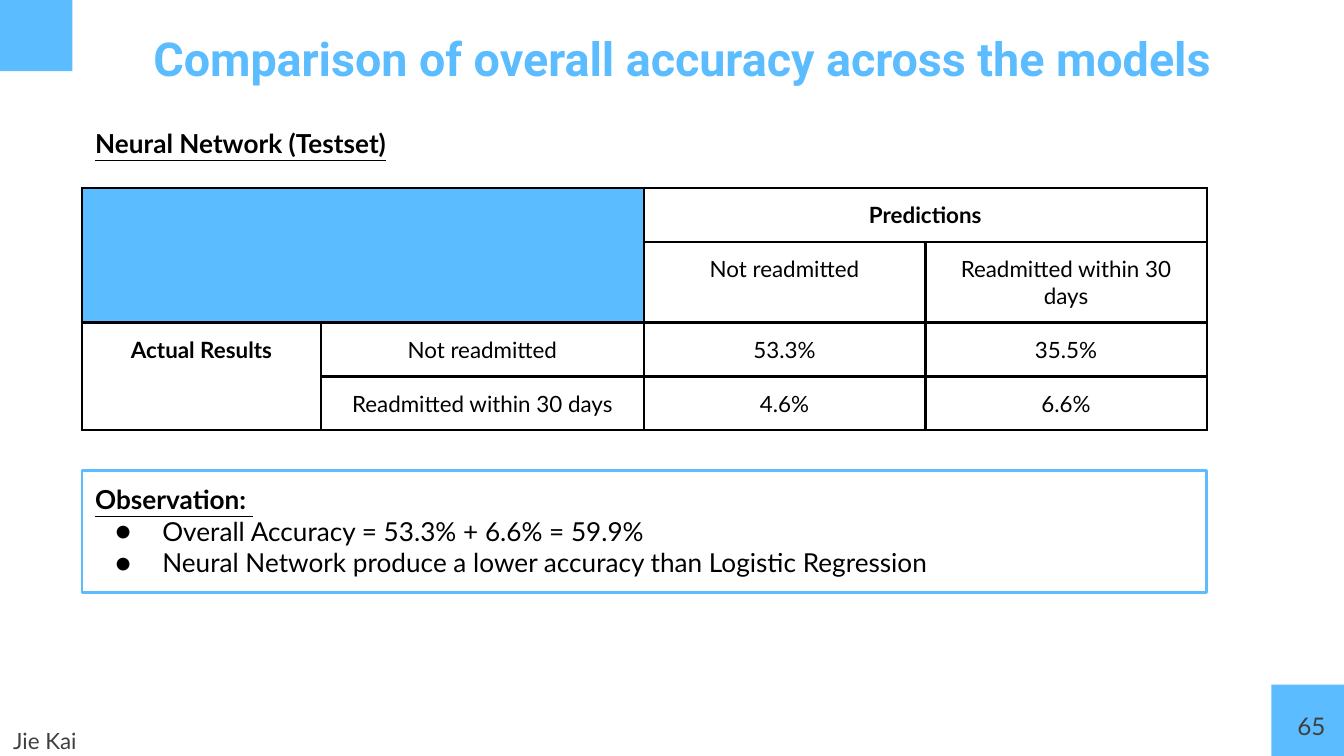
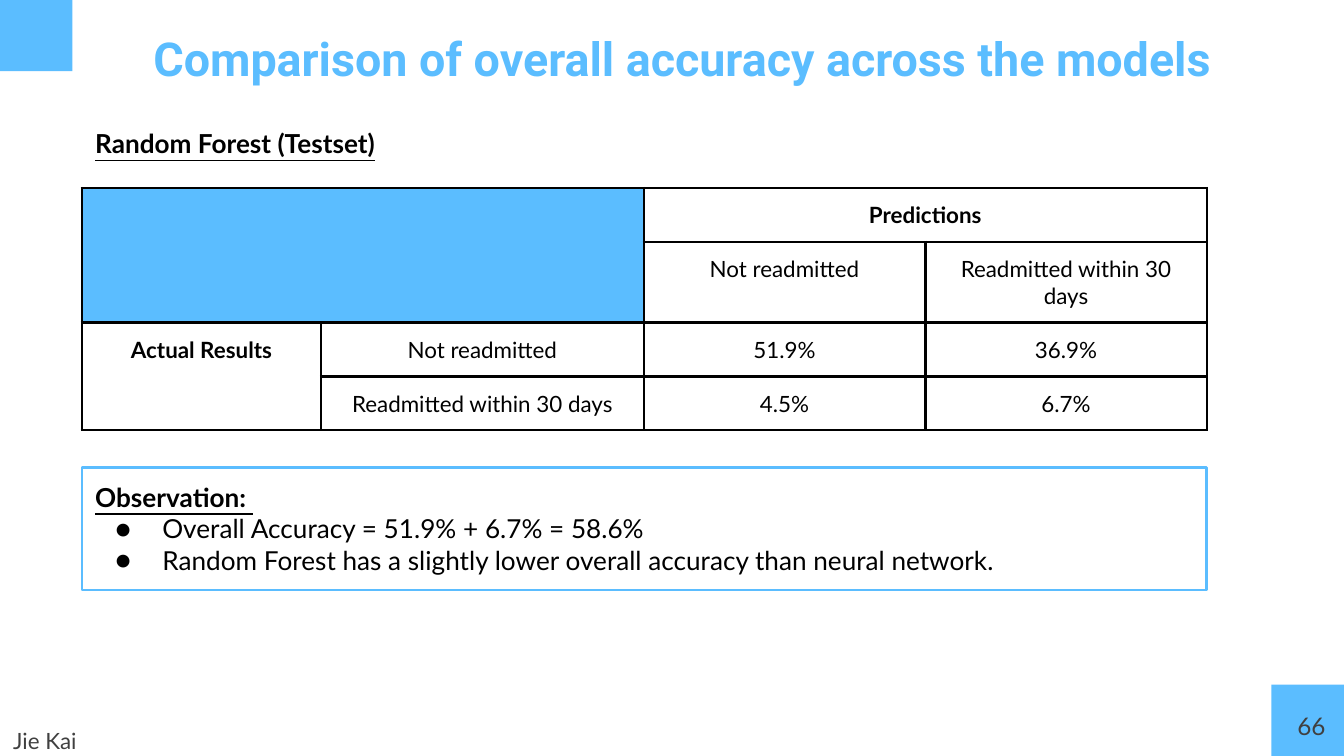
import pptx
import pptx.dml.color
import pptx.enum.shapes
import pptx.enum.text
import pptx.oxml.ns
import pptx.util
from lxml import etree

Inches = pptx.util.Inches
Pt = pptx.util.Pt
RGBColor = pptx.dml.color.RGBColor
Align = pptx.enum.text.PP_ALIGN
Anchor = pptx.enum.text.MSO_ANCHOR
AutoSize = pptx.enum.text.MSO_AUTO_SIZE
qn = pptx.oxml.ns.qn

SKY = RGBColor(0x5B, 0xBD, 0xFF)
BLACK = RGBColor(0, 0, 0)
GREY = RGBColor(0x40, 0x40, 0x40)

SLIDE_W = 10
SLIDE_H = SLIDE_W * 9 / 16
CORNER_W, CORNER_H = 0.54, 0.53
LEFT, CONTENT_W = 0.61, 8.37
ACTUAL_W, OUTCOME_W = 1.78, 2.4
PREDICTION_W = (CONTENT_W - ACTUAL_W - OUTCOME_W) / 2
COLUMN_WIDTHS = (ACTUAL_W, OUTCOME_W, PREDICTION_W, PREDICTION_W)
ROW_HEIGHTS = (0.4, 0.6, 0.4, 0.4)
MERGES = (((0, 0), (1, 1)), ((0, 2), (0, 3)), ((2, 0), (3, 0)))

TITLE = "Comparison of overall accuracy across the models"
PRESENTER = "Jie Kai"
NEGATIVE, POSITIVE = "Not readmitted", "Readmitted within 30 days"
BOLD_LABELS = ("Predictions", "Actual Results")

RESULTS = (
    {
        "page": 65,
        "model": "Neural Network",
        "rates": (("53.3%", "35.5%"), ("4.6%", "6.6%")),
        "observation_top": 3.5,
        "observations": (
            "Overall Accuracy = 53.3% + 6.6% = 59.9%",
            "Neural Network produce a lower accuracy than Logistic Regression",
        ),
    },
    {
        "page": 66,
        "model": "Random Forest",
        "rates": (("51.9%", "36.9%"), ("4.5%", "6.7%")),
        "observation_top": 3.48,
        "observations": (
            "Overall Accuracy = 51.9% + 6.7% = 58.6%",
            "Random Forest has a slightly lower overall accuracy than neural network.",
        ),
    },
)


class Deck:
    def __init__(self):
        self.presentation = pptx.Presentation()
        self.presentation.slide_width = Inches(SLIDE_W)
        self.presentation.slide_height = Inches(SLIDE_H)
        self.slide = None

    def start_slide(self, page):
        layout = self.presentation.slide_layouts[5]
        self.slide = self.presentation.slides.add_slide(layout)
        self.corner(0, 0)
        self.corner(SLIDE_W - CORNER_W, SLIDE_H - CORNER_H)
        self.title()
        self.text(str(page), (9.36, 5.19, 0.6, 0.43), size=13, color=GREY, align=Align.RIGHT)
        presenter = self.text(PRESENTER, (0, 5.37, 2.79, 0.25), size=12, color=GREY)
        presenter.vertical_anchor = Anchor.MIDDLE
        presenter.paragraphs[0].line_spacing = 1.15

    def prepare_frame(self, frame, auto_size=AutoSize.NONE):
        frame.word_wrap = True
        frame.auto_size = auto_size
        frame.vertical_anchor = Anchor.TOP
        frame.margin_left = frame.margin_right = Inches(0.1)
        frame.margin_top = frame.margin_bottom = Inches(0.1)

    def format(self, paragraph, size, color=BLACK, face="Lato", bold=False,
               underline=False, align=Align.LEFT):
        paragraph.alignment = align
        for run in paragraph.runs:
            font = run.font
            font.name, font.size, font.bold = face, Pt(size), bold
            font.underline = underline
            font.color.rgb = color

    def rectangle(self, box):
        shape = self.slide.shapes.add_shape(
            pptx.enum.shapes.MSO_SHAPE.RECTANGLE, *map(Inches, box))
        shape.shadow.inherit = False
        return shape

    def corner(self, left, top):
        square = self.rectangle((left, top, CORNER_W, CORNER_H))
        square.fill.solid()
        square.fill.fore_color.rgb = SKY
        square.line.fill.background()

    def title(self):
        title = self.slide.shapes.title
        title.left, title.top = Inches(0.56), Inches(0.12)
        title.width, title.height = Inches(9.03), Inches(0.63)
        self.prepare_frame(title.text_frame)
        title.text_frame.text = TITLE
        self.format(title.text_frame.paragraphs[0], 25, SKY, "Roboto", bold=True,
                    align=Align.CENTER)

    def text(self, words, box, **style):
        frame = self.slide.shapes.add_textbox(*map(Inches, box)).text_frame
        self.prepare_frame(frame)
        frame.text = words
        self.format(frame.paragraphs[0], **style)
        return frame

    def heading(self, words):
        frame = self.text(words, (LEFT, 0.85, CONTENT_W, 0.44), size=14, bold=True,
                          underline=True)
        frame.auto_size = AutoSize.SHAPE_TO_FIT_TEXT

    def confusion_table(self, rates):
        rows = (
            ("", "", "Predictions", ""),
            ("", "", NEGATIVE, POSITIVE),
            ("Actual Results", NEGATIVE, *rates[0]),
            ("", POSITIVE, *rates[1]),
        )
        table = self.slide.shapes.add_table(
            len(rows), len(COLUMN_WIDTHS), Inches(LEFT), Inches(1.4),
            Inches(CONTENT_W), Inches(sum(ROW_HEIGHTS))).table
        table.first_row = table.horz_banding = False
        for column, width in zip(table.columns, COLUMN_WIDTHS):
            column.width = Inches(width)
        for row, height in zip(table.rows, ROW_HEIGHTS):
            row.height = Inches(height)
        for row_index, labels in enumerate(rows):
            for column_index, label in enumerate(labels):
                self.fill_cell(table.cell(row_index, column_index), label)
        for first, last in MERGES:
            table.cell(*first).merge(table.cell(*last))
        for row_index in range(2):
            for column_index in range(2):
                fill = table.cell(row_index, column_index).fill
                fill.solid()
                fill.fore_color.rgb = SKY

    def fill_cell(self, cell, label):
        cell.margin_left = cell.margin_right = Inches(0.1)
        cell.margin_top = cell.margin_bottom = Inches(0.1)
        cell.text_frame.text = label
        paragraph = cell.text_frame.paragraphs[0]
        self.format(paragraph, 12, bold=label in BOLD_LABELS, align=Align.CENTER)
        if not label:
            etree.SubElement(paragraph._p, qn("a:endParaRPr"), sz="1200")
        properties = cell._tc.get_or_add_tcPr()
        for side in ("lnL", "lnR", "lnT", "lnB"):
            border = etree.SubElement(properties, qn("a:" + side), w=str(Pt(1.5)))
            paint = etree.SubElement(border, qn("a:solidFill"))
            etree.SubElement(paint, qn("a:srgbClr"), val=str(BLACK))
        cell.fill.background()

    def observation(self, top, points):
        panel = self.rectangle((LEFT, top, CONTENT_W, 0.91))
        panel.fill.background()
        panel.line.color.rgb = SKY
        panel.line.width = Pt(1.5)
        frame = panel.text_frame
        self.prepare_frame(frame, AutoSize.SHAPE_TO_FIT_TEXT)
        frame.text = "Observation: "
        self.format(frame.paragraphs[0], 14, bold=True, underline=True)
        for point in points:
            paragraph = frame.add_paragraph()
            paragraph.text = point
            self.bullet(paragraph)
            self.format(paragraph, 14)

    def bullet(self, paragraph):
        properties = paragraph._p.get_or_add_pPr()
        properties.set("marL", str(Inches(0.5)))
        properties.set("indent", str(Inches(-0.35)))
        color = etree.SubElement(properties, qn("a:buClr"))
        etree.SubElement(color, qn("a:srgbClr"), val=str(BLACK))
        etree.SubElement(properties, qn("a:buSzPts"), val="1400")
        etree.SubElement(properties, qn("a:buFont"), typeface="Lato")
        etree.SubElement(properties, qn("a:buChar"), char="●")


def main():
    deck = Deck()
    for result in RESULTS:
        deck.start_slide(result["page"])
        deck.confusion_table(result["rates"])
        deck.heading(f"{result['model']} (Testset)")
        deck.observation(result["observation_top"], result["observations"])
    deck.presentation.save("out.pptx")


if __name__ == "__main__":
    main()
